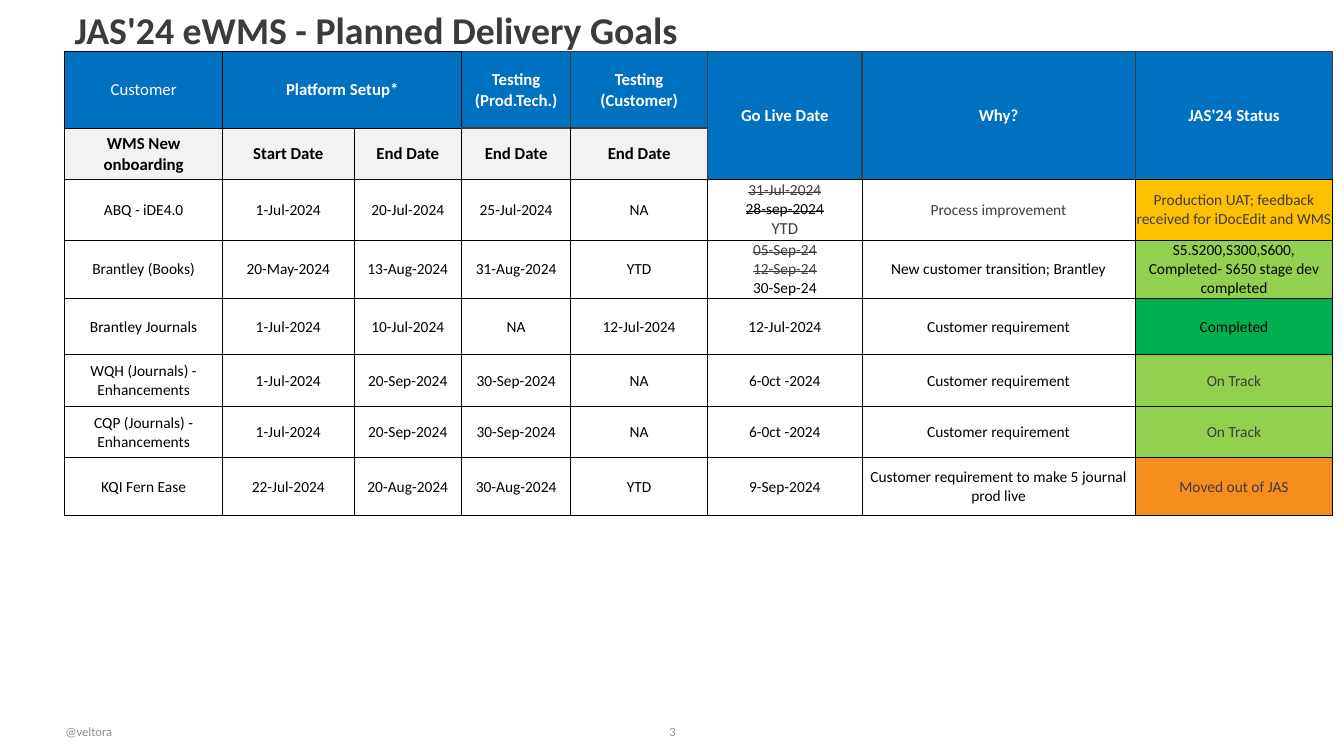
"""Build the planned delivery goals slide."""
from lxml.etree import SubElement
from pptx import Presentation
from pptx.dml.color import RGBColor
from pptx.enum.text import MSO_ANCHOR, PP_ALIGN
from pptx.oxml.ns import qn
from pptx.util import Inches, Pt

BLACK, GREY, WHITE = "000000", "3D3D3D", "FFFFFF"
BLUE, PALE, GREEN = "0070C0", "F2F2F2", "92D050"
AMBER, DONE, ORANGE = "FFC000", "00B050", "F68E1F"

COLS = [1.57, 1.3, 1.07, 1.08, 1.36, 1.53, 2.71, 1.96]
ROWS = [0.76, 0.51, 0.6, 0.58, 0.56, 0.51, 0.51, 0.57]
HEADERS = ["Customer", "Platform Setup*", "", "Testing\n(Prod.Tech.)", "Testing\n(Customer)",
           "Go Live Date", "Why?", "JAS'24 Status"]
SUBHEADERS = ["WMS New onboarding", "Start Date", "End Date", "End Date", "End Date", "", "", ""]
GOALS = [
    ["ABQ - iDE4.0", "1-Jul-2024", "20-Jul-2024", "25-Jul-2024", "NA", "31-Jul-2024\n28-sep-2024\nYTD",
     "Process improvement", "Production UAT; feedback received for iDocEdit and WMS"],
    ["Brantley (Books)", "20-May-2024", "13-Aug-2024", "31-Aug-2024", "YTD",
     "05-Sep-24\n12-Sep-24\n30-Sep-24", "New customer transition; Brantley",
     "S5.S200,S300,S600,\nCompleted- S650 stage dev completed"],
    ["Brantley Journals", "1-Jul-2024", "10-Jul-2024", "NA", "12-Jul-2024", "12-Jul-2024",
     "Customer requirement", "Completed"],
    ["WQH (Journals) - Enhancements", "1-Jul-2024", "20-Sep-2024", "30-Sep-2024", "NA", "6-0ct -2024",
     "Customer requirement", "On Track"],
    ["CQP (Journals) - Enhancements", "1-Jul-2024", "20-Sep-2024", "30-Sep-2024", "NA", "6-0ct -2024",
     "Customer requirement", "On Track"],
    ["KQI Fern Ease", "22-Jul-2024", "20-Aug-2024", "30-Aug-2024", "YTD", "9-Sep-2024",
     "Customer requirement to make 5 journal prod live", "Moved out of JAS"],
]
STATUS_FILLS = [AMBER, GREEN, DONE, GREEN, GREEN, ORANGE]
STRUCK = {"31-Jul-2024", "28-sep-2024", "05-Sep-24", "12-Sep-24"}
GREY_LINES = {"31-Jul-2024", "YTD", "05-Sep-24", "12-Sep-24", "Process improvement",
              GOALS[0][7], "On Track", "Moved out of JAS"}


def color(code):
    return RGBColor.from_string(code)


class Deck:
    """Hold the style and the current slide."""

    font = "Calibri"

    def __init__(self):
        self.prs = Presentation()
        self.prs.slide_width, self.prs.slide_height = Inches(13.33), Inches(7.5)
        self.s = self.prs.slides.add_slide(self.prs.slide_layouts[5])

    def run(self, p, text, size, code, bold=False, strike=False):
        r = p.add_run()
        r.text = text
        r.font.name, r.font.size, r.font.bold = self.font, Pt(size), bold
        r.font.color.rgb = color(code)
        if strike:
            r.font._element.set("strike", "sngStrike")

    def place(self, sp, left, top, width, height):
        sp.left, sp.top, sp.width, sp.height = map(Inches, (left, top, width, height))

    def title(self, text, *box):
        sp = self.s.shapes.title
        self.place(sp, *box)
        tf = sp.text_frame
        tf.vertical_anchor = MSO_ANCHOR.MIDDLE
        p = tf.paragraphs[0]
        p.alignment, p.line_spacing = PP_ALIGN.LEFT, 0.9
        self.run(p, text, 27, "3B3B3B", True)

    def footer(self, text, align, *box):
        tf = self.s.shapes.add_textbox(*map(Inches, box)).text_frame
        tf.word_wrap, tf.vertical_anchor = True, MSO_ANCHOR.MIDDLE
        p = tf.paragraphs[0]
        p.alignment = align
        self.run(p, text, 9, "8D8E8E")

    def table(self, left, top, cols, rows):
        box = map(Inches, (left, top, sum(cols), sum(rows)))
        tbl = self.s.shapes.add_table(len(rows), len(cols), *box).table
        tbl.first_row = tbl.horz_banding = False
        for col, width in zip(tbl.columns, cols):
            col.width = Inches(width)
        for row, height in zip(tbl.rows, rows):
            row.height = Inches(height)
        return tbl

    def borders(self, cell, dark_sides):
        for side in "LRTB":
            code, width = (GREY, 1) if side in dark_sides else (BLACK, 0.5)
            ln = SubElement(cell._tc.get_or_add_tcPr(), qn(f"a:ln{side}"), w=str(Pt(width)))
            SubElement(SubElement(ln, qn("a:solidFill")), qn("a:srgbClr"), val=code)

    def cell(self, cell, lines, fill, dark_sides=""):
        """Fill one cell with (text, size, colour, bold, strike) lines."""
        self.borders(cell, dark_sides)
        if fill:
            cell.fill.solid()
            cell.fill.fore_color.rgb = color(fill)
        else:
            cell.fill.background()
        cell.margin_left = cell.margin_right = cell.margin_top = Inches(0.01)
        cell.margin_bottom = 0
        cell.vertical_anchor = MSO_ANCHOR.MIDDLE
        tf = cell.text_frame
        for i, line in enumerate(lines):
            p = tf.add_paragraph() if i else tf.paragraphs[0]
            p.alignment = PP_ALIGN.CENTER
            self.run(p, *line)


def goal_lines(text, col):
    lines = []
    for line in text.split("\n"):
        grey = line in GREY_LINES and col >= 5
        size = 12 if col == 5 and line == "YTD" else 11
        lines.append((line, size, GREY if grey else BLACK, False, line in STRUCK))
    return lines


def header_lines(text, code, bold):
    return [(line, 12, code, bold) for line in text.split("\n") if line]


def main():
    deck = Deck()
    deck.title("JAS'24 eWMS - Planned Delivery Goals", 0.64, 0, 12.05, 0.63)
    deck.footer("@veltora", PP_ALIGN.LEFT, 0.55, 7.06, 1.16, 0.4)
    deck.footer("3", PP_ALIGN.CENTER, 6.43, 7.06, 0.48, 0.4)

    tbl = deck.table(0.64, 0.51, COLS, ROWS)
    tbl.cell(0, 1).merge(tbl.cell(0, 2))
    for col in range(5, 8):
        tbl.cell(0, col).merge(tbl.cell(1, col))
    for col, (header, subheader) in enumerate(zip(HEADERS, SUBHEADERS)):
        tall = col >= 5
        sides = "LRT" if tall else "LRTB" if col == 4 else "RTB" if col == 3 else ""
        deck.cell(tbl.cell(0, col), header_lines(header, WHITE, col > 0), BLUE, sides)
        sides = "LR" if tall else "T" if col in (3, 4) else ""
        deck.cell(tbl.cell(1, col), header_lines(subheader, BLACK, True), BLUE if tall else PALE, sides)
    for row, (goal, status_fill) in enumerate(zip(GOALS, STATUS_FILLS), 2):
        for col, text in enumerate(goal):
            deck.cell(tbl.cell(row, col), goal_lines(text, col), status_fill if col == 7 else None)
    deck.prs.save("out.pptx")


if __name__ == "__main__":
    main()
